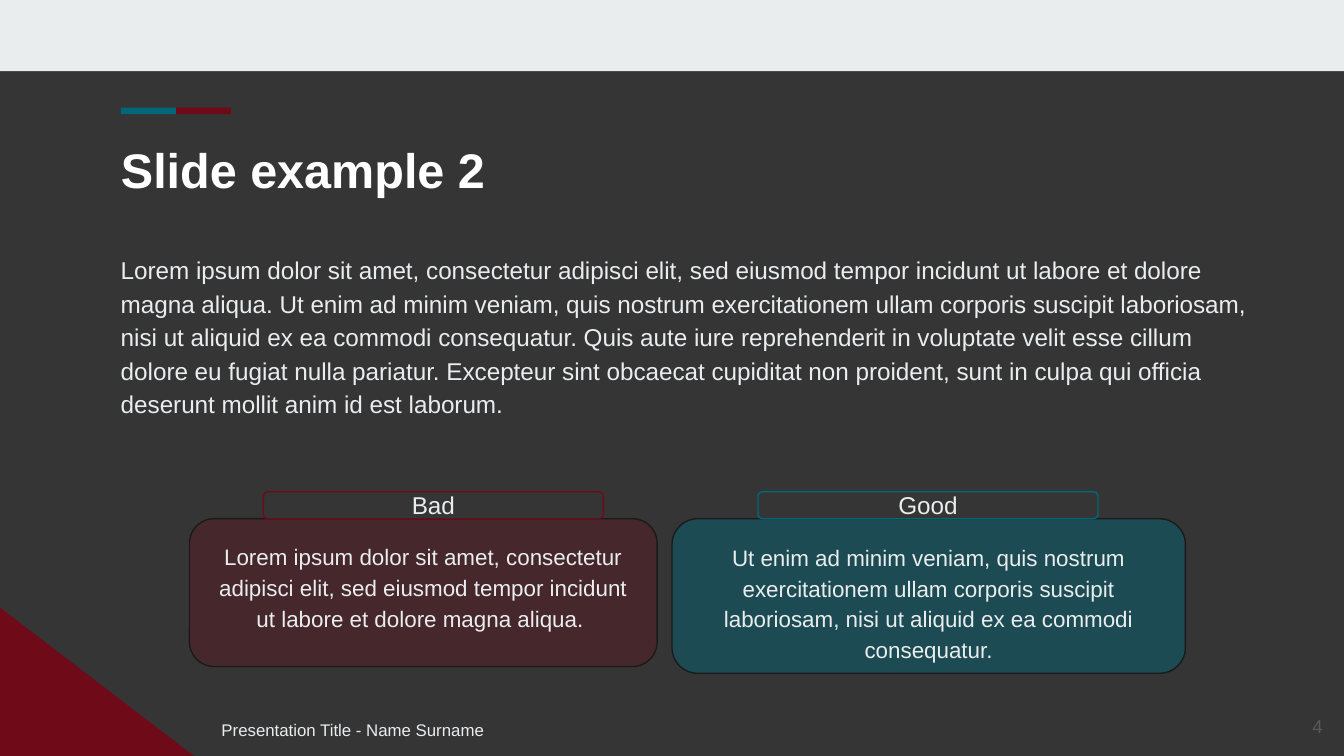
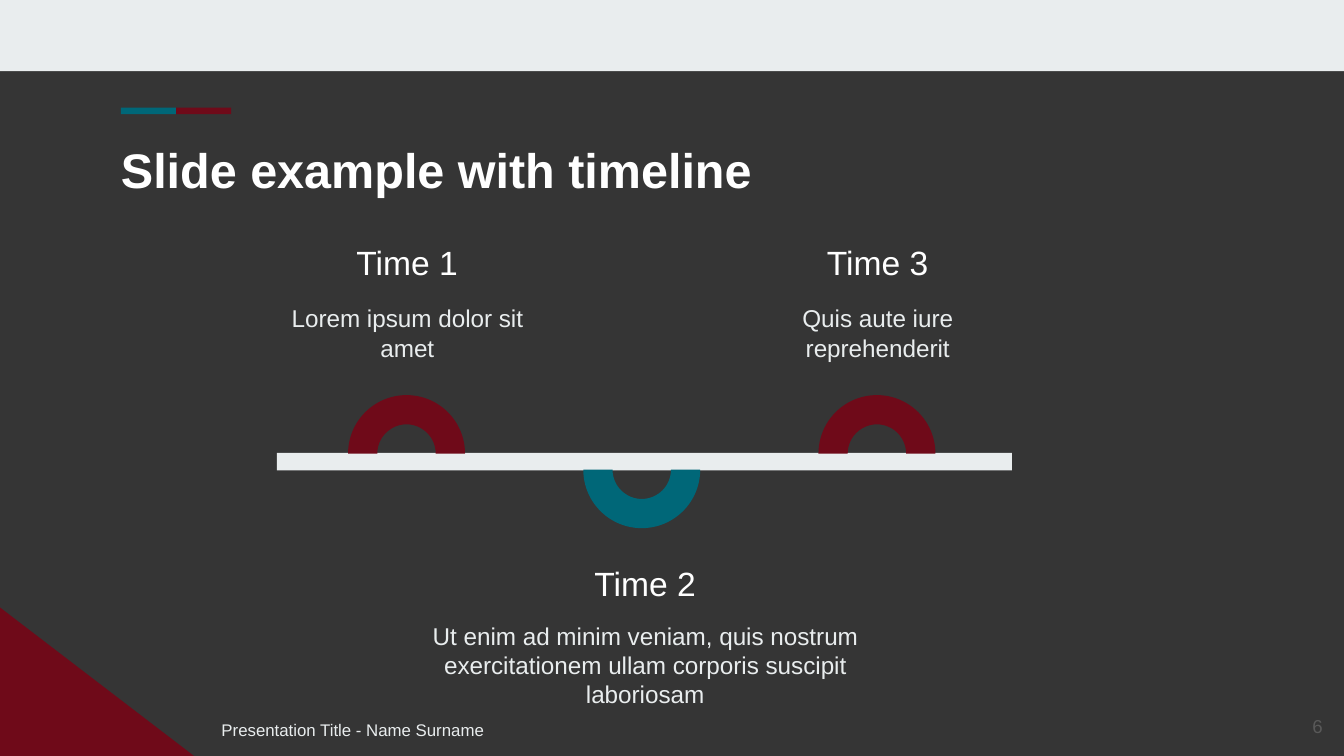
from dataclasses import dataclass

from lxml.etree import SubElement
from pptx import Presentation
from pptx.dml.color import RGBColor as RGB
from pptx.enum.shapes import MSO_SHAPE as Kind
from pptx.enum.text import MSO_ANCHOR as Anchor, MSO_AUTO_SIZE as Fit, PP_ALIGN as Align
from pptx.oxml.ns import qn
from pptx.util import Inches, Pt


@dataclass(frozen=True)
class Theme:
    """Colours and type sizes of the deck."""
    font: str = "Arial"
    dark: str = "353535"
    pale: str = "E9EDEE"
    white: str = "FFFFFF"
    red: str = "6F0A19"
    teal: str = "006778"
    edge: str = "1A1A1A"
    grey: str = "595959"
    title: int = 26
    head: int = 18
    body: int = 13
    card: int = 12
    page: int = 10
    foot: int = 9


T = Theme()
LOREM = (
    "Lorem ipsum dolor sit amet, consectetur adipisci elit, sed eiusmod tempor "
    "incidunt ut labore et dolore magna aliqua. Ut enim ad minim veniam, quis "
    "nostrum exercitationem ullam corporis suscipit laboriosam, nisi ut aliquid ex "
    "ea commodi consequatur. Quis aute iure reprehenderit in voluptate velit esse "
    "cillum dolore eu fugiat nulla pariatur. Excepteur sint obcaecat cupiditat non "
    "proident, sunt in culpa qui officia deserunt mollit anim id est laborum."
)
BAD = (
    "Lorem ipsum dolor sit amet, consectetur adipisci elit, sed eiusmod tempor "
    "incidunt ut labore et dolore magna aliqua. "
)
GOOD = (
    "Ut enim ad minim veniam, quis nostrum exercitationem ullam corporis suscipit "
    "laboriosam, nisi ut aliquid ex ea commodi consequatur."
)
STEPS = (
    ("Time 1", "Lorem ipsum dolor sit amet", 3.03, 2.01),
    ("Time 2", "Ut enim ad minim veniam, quis nostrum exercitationem ullam corporis "
               "suscipit laboriosam", 4.8, 4),
    ("Time 3", "Quis aute iure reprehenderit", 6.53, 2.01),
)


def write(shape, text, size, color=T.pale, align=Align.LEFT, anchor=Anchor.TOP,
          space=1, pad=0.1, bold=False):
    """Put one styled paragraph in a shape."""
    frame = shape.text_frame
    frame.word_wrap = True
    frame.auto_size = Fit.NONE
    frame.vertical_anchor = anchor
    frame.margin_left = frame.margin_right = Inches(0.1)
    frame.margin_top = frame.margin_bottom = Inches(pad)
    para = frame.paragraphs[0]
    para.text = text
    para.alignment = align
    para.line_spacing = space
    font = para.font
    font.name, font.size, font.bold = T.font, Pt(size), bold
    font.color.rgb = RGB.from_string(color)


def label(slide, box, text, size, **style):
    """Add a text box."""
    write(slide.shapes.add_textbox(*map(Inches, box)), text, size, **style)


def block(slide, kind, box, fill, line=None, alpha=None):
    """Add a flat preset shape."""
    shape = slide.shapes.add_shape(kind, *map(Inches, box))
    shape.shadow.inherit = False
    shape.fill.solid()
    shape.fill.fore_color.rgb = RGB.from_string(fill)
    if alpha:
        tone = shape.fill._xPr.find(qn("a:solidFill"))[0]
        SubElement(tone, qn("a:alpha")).set("val", str(alpha * 1000))
    if line:
        shape.line.color.rgb = RGB.from_string(line)
        shape.line.width = Pt(0.75)
    else:
        shape.line.fill.background()
    return shape


def start(deck, title, page):
    """Add a slide with its bands, title, footer and page number."""
    slide = deck.slides.add_slide(deck.slide_layouts[5])
    slide.background.fill.solid()
    slide.background.fill.fore_color.rgb = RGB.from_string(T.dark)
    block(slide, Kind.RECTANGLE, (0, 0, 10, 0.53), T.pale)
    block(slide, Kind.RIGHT_TRIANGLE, (0, 4.52, 1.45, 1.11), T.red)
    for i, color in enumerate((T.teal, T.red)):
        block(slide, Kind.RECTANGLE, (0.9 + 0.41 * i, 0.8, 0.41, 0.05), color)
    head = slide.shapes.title
    head.left, head.top, head.width, head.height = map(Inches, (0.8, 0.94, 8.41, 0.59))
    write(head, title, T.title, color=T.white, bold=True)
    label(slide, (9.34, 5.19, 0.6, 0.43), page, T.page, color=T.grey,
          align=Align.RIGHT, anchor=Anchor.MIDDLE)
    label(slide, (1.55, 5.23, 6.4, 0.37), "Presentation Title - Name Surname",
          T.foot, space=1.15)
    return slide


def card(slide, name, text, color, alpha, box, left):
    """Add a tinted card with a name tag on its top edge."""
    panel = block(slide, Kind.ROUNDED_RECTANGLE, box, color, T.edge, alpha)
    write(panel, text, T.card, align=Align.CENTER, space=1.15)
    tag = block(slide, Kind.ROUNDED_RECTANGLE, (left, box[1] - 0.2, 2.53, 0.2),
                T.dark, color)
    write(tag, name, T.body, align=Align.CENTER, anchor=Anchor.MIDDLE, pad=0.08)


def step(slide, index, name, text, mid, width):
    """Add one time step, above or below the line in turn."""
    low = index % 2 == 1
    top, base, ring = (4.09, 4.52, 3.06) if low else (1.7, 2.16, 2.94)
    label(slide, (mid - width / 2, base, width, 0.63), text, T.body,
          align=Align.CENTER)
    label(slide, (mid - 1.45, top, 2.9, 0.42), name, T.head, color=T.white,
          align=Align.CENTER)
    arc = block(slide, Kind.BLOCK_ARC, (2.59 + 1.75 * index, ring, 0.87, 0.87),
                T.teal if low else T.red)
    arc.rotation = 180 if low else 0


def cards(deck):
    """Build the slide that sets bad against good."""
    slide = start(deck, "Slide example 2", "4")
    label(slide, (0.8, 1.77, 8.59, 1.72), LOREM, T.body, space=1.15)
    card(slide, "Bad", BAD, T.red, 31, (1.41, 3.86, 3.48, 1.1), 1.96)
    card(slide, "Good", GOOD, T.teal, 45, (5, 3.86, 3.82, 1.15), 5.64)


def times(deck):
    """Build the timeline slide."""
    slide = start(deck, "Slide example with timeline", "6")
    block(slide, Kind.RECTANGLE, (2.06, 3.37, 5.47, 0.13), T.pale)
    for index, item in enumerate(STEPS):
        step(slide, index, *item)


def main():
    """Build and save the deck."""
    deck = Presentation()
    deck.slide_width = Inches(10)
    deck.slide_height = deck.slide_width * 9 // 16
    cards(deck)
    times(deck)
    deck.save("out.pptx")


if __name__ == "__main__":
    main()
